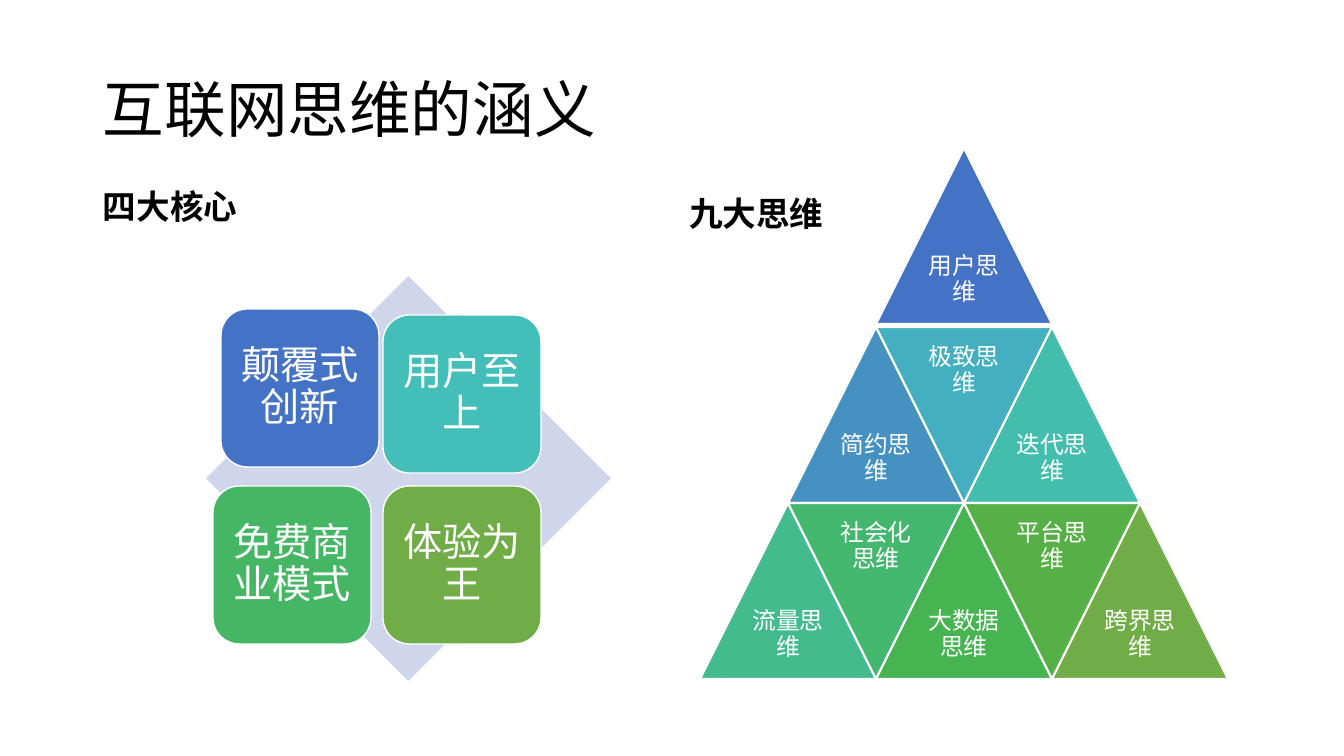
from pptx import Presentation
from pptx import util as u
from pptx.dml.color import RGBColor
from pptx.enum import shapes, text

PX = 914400 / 100.8
WHITE = RGBColor(0xFF, 0xFF, 0xFF)
BLACK = RGBColor(0x00, 0x00, 0x00)
PALE = RGBColor(0xCF, 0xD5, 0xEA)
BLUE = RGBColor(0x44, 0x72, 0xC4)
SKY = RGBColor(0x44, 0x91, 0xC2)
CYAN = RGBColor(0x43, 0xAF, 0xC0)
TURQUOISE = RGBColor(0x43, 0xBE, 0xB9)
TEAL = RGBColor(0x43, 0xBD, 0xAE)
JADE = RGBColor(0x43, 0xBB, 0x8D)
MINT = RGBColor(0x44, 0xB7, 0x6E)
EMERALD = RGBColor(0x45, 0xB6, 0x64)
GREEN = RGBColor(0x45, 0xB4, 0x51)
LEAF = RGBColor(0x56, 0xB0, 0x46)
OLIVE = RGBColor(0x70, 0xAD, 0x47)

TOP, MIDDLE, BOTTOM = (text.MSO_ANCHOR.TOP, text.MSO_ANCHOR.MIDDLE,
                       text.MSO_ANCHOR.BOTTOM)
LEFT, CENTER = text.PP_ALIGN.LEFT, text.PP_ALIGN.CENTER
KIND = shapes.MSO_SHAPE


def px(*lengths):
    return [u.Emu(round(length * PX)) for length in lengths]


class Painter:
    font_name = "Calibri"
    line_spacing = 0.9

    def __init__(self, slide):
        self.slide = slide

    def letter(self, frame, words, color, anchor, align, margins, **font):
        """Put one paragraph in a text frame; margins are (sides, top and bottom)."""
        side, edge = px(*margins)
        paragraph = frame.paragraphs[0]
        run = paragraph.add_run()
        run.text = words
        run.font.color.rgb = color
        formats = [
            (frame, dict(word_wrap=True, vertical_anchor=anchor,
                         margin_left=side, margin_right=side,
                         margin_top=edge, margin_bottom=edge)),
            (paragraph, dict(alignment=align, line_spacing=self.line_spacing)),
            (run.font, dict(name=self.font_name, **font)),
        ]
        for target, values in formats:
            for key, value in values.items():
                setattr(target, key, value)

    def heading(self, box, words, anchor, **font):
        frame = self.slide.shapes.add_textbox(*px(*box)).text_frame
        self.letter(frame, words, BLACK, anchor, LEFT, (10, 5), **font)

    def block(self, kind, box, fill, outline=None):
        shape = self.slide.shapes.add_shape(kind, *px(*box))
        shape.shadow.inherit = False
        shape.fill.solid()
        shape.fill.fore_color.rgb = fill
        if outline:
            shape.line.color.rgb = WHITE
            shape.line.width = u.Pt(outline)
        else:
            shape.line.fill.background()
        return shape

    def label_block(self, kind, box, fill, outline, words, size, margin):
        shape = self.block(kind, box, fill, outline)
        self.letter(shape.text_frame, words, WHITE, MIDDLE, CENTER,
                    (margin, margin), size=u.Pt(size))


CORES = [
    (221, 309, BLUE, "颠覆式创新"),
    (383, 315, TURQUOISE, "用户至上"),
    (213, 486, EMERALD, "免费商业模式"),
    (383, 486, OLIVE, "体验为王"),
]
TILE = 158

THINKING_ROWS = [
    (148, [(BLUE, "用户思维")]),
    (327, [(SKY, "简约思维"), (CYAN, "极致思维"), (TEAL, "迭代思维")]),
    (503, [(JADE, "流量思维"), (MINT, "社会化思维"), (GREEN, "大数据思维"),
           (LEAF, "平台思维"), (OLIVE, "跨界思维")]),
]
SIDE = 176
APEX_LEFT = 876


def main():
    deck = Presentation()
    deck.slide_width, deck.slide_height = px(1344, 756)
    painter = Painter(deck.slides.add_slide(deck.slide_layouts[6]))

    painter.heading((93, 185, 569, 91), "四大核心", TOP, size=u.Pt(24), bold=True)
    painter.block(KIND.DIAMOND, (206, 276, 405, 405), PALE)
    for left, top, fill, core in CORES:
        painter.label_block(KIND.ROUNDED_RECTANGLE, (left, top, TILE, TILE),
                            fill, 1, core, 28, 12)

    painter.heading((679, 148, 572, 91), "九大思维", BOTTOM, size=u.Pt(24), bold=True)
    for row, (top, thoughts) in enumerate(THINKING_ROWS):
        for column, (fill, thought) in enumerate(thoughts):
            # Odd columns point down
            kind = KIND.FLOWCHART_MERGE if column % 2 else KIND.ISOSCELES_TRIANGLE
            left = APEX_LEFT + (column - row) * SIDE // 2
            painter.label_block(kind, (left, top, SIDE, SIDE),
                                fill, 1.5, thought, 17, 7)

    painter.heading((93, 40, 1159, 146), "互联网思维的涵义", MIDDLE, size=u.Pt(44))
    deck.save("out.pptx")


if __name__ == "__main__":
    main()
